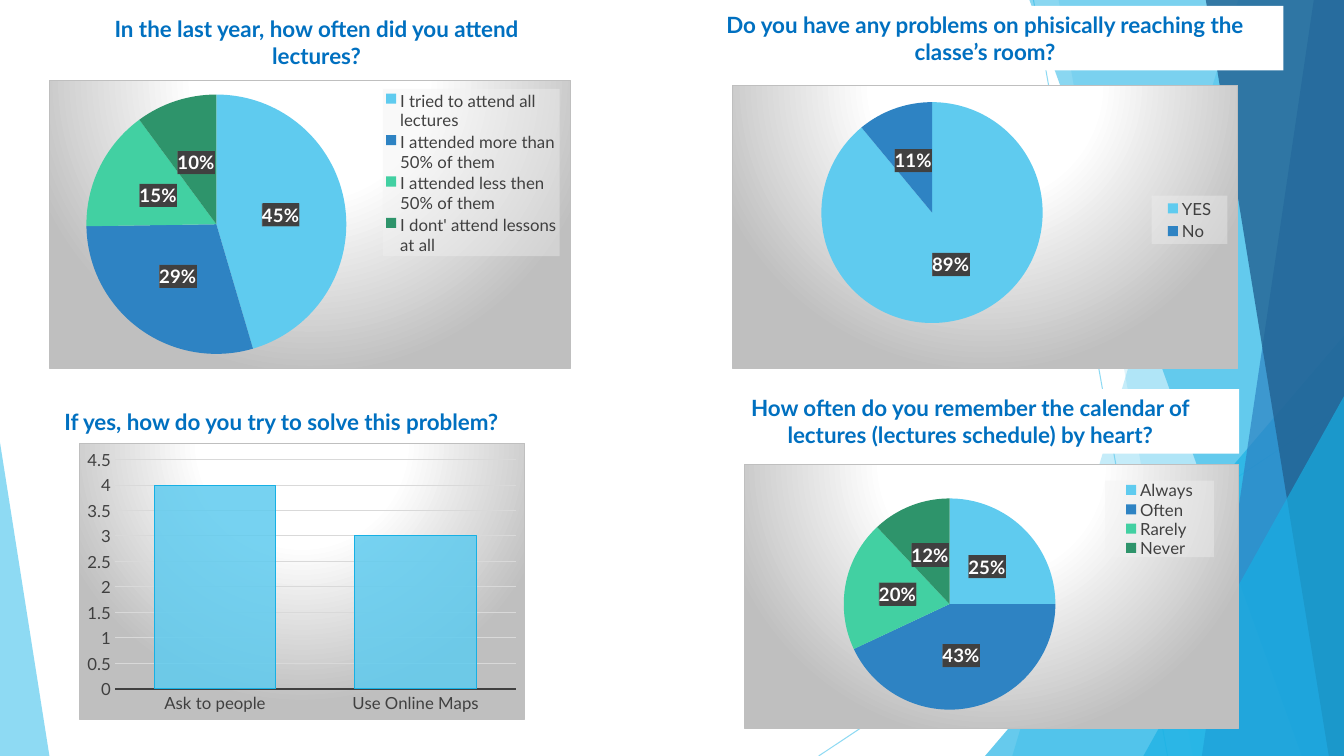
from lxml import etree
from pptx import Presentation
from pptx.chart.data import CategoryChartData
from pptx.dml.color import RGBColor
from pptx.enum.chart import XL_CHART_TYPE as ChartType
from pptx.enum.chart import XL_LABEL_POSITION as LabelPosition
from pptx.enum.chart import XL_LEGEND_POSITION as LegendPosition
from pptx.enum.chart import XL_TICK_MARK as TickMark
from pptx.enum.shapes import MSO_CONNECTOR as Connector
from pptx.enum.shapes import MSO_SHAPE as Shape
from pptx.enum.text import MSO_AUTO_SIZE as AutoSize
from pptx.enum.text import PP_ALIGN as Align
from pptx.oxml import parse_xml
from pptx.oxml.ns import nsdecls, qn
from pptx.util import Inches, Pt

WIDTH, HEIGHT = 13.33, 7.5
FONT = "Lato"
SKY, BLUE, MINT, GREEN = PIE_COLORS = ["5FCBEF", "2E83C3", "42D0A2", "2E946B"]
CYAN, NAVY, TITLE_BLUE = "17B0E4", "226292", "0070C0"
WHITE, DARK, SILVER, GRID = "FFFFFF", "404040", "BFBFBF", "D9D9D9"

PANEL_FILL = f"""<a:gradFill><a:gsLst>
<a:gs pos="0"><a:srgbClr val="{WHITE}"/></a:gs>
<a:gs pos="39000"><a:srgbClr val="{WHITE}"/></a:gs>
<a:gs pos="100000"><a:srgbClr val="{SILVER}"/></a:gs></a:gsLst>
<a:path path="circle"><a:fillToRect l="50000" t="-80000" r="50000" b="180000"/></a:path>
</a:gradFill><a:ln w="9525"><a:solidFill><a:srgbClr val="{SILVER}"/></a:solidFill></a:ln>"""
LEGEND_FILL = ('<a:solidFill><a:srgbClr val="F2F2F2"><a:alpha val="39000"/>'
               '</a:srgbClr></a:solidFill>')
LABEL_FILL = (f'<a:pattFill prst="dkVert"><a:fgClr><a:srgbClr val="{DARK}"/></a:fgClr>'
              '<a:bgClr><a:srgbClr val="5A5A5A"/></a:bgClr></a:pattFill>')


def color(hex_string):
    return RGBColor.from_string(hex_string)


def set_font(font, size, hex_string, bold=False):
    font.name, font.size, font.bold = FONT, Pt(size), bold
    font.color.rgb = color(hex_string)


def set_opacity(element, percent):
    rgb = next(element.iter(qn("a:srgbClr")))
    etree.SubElement(rgb, qn("a:alpha")).set("val", str(percent * 1000))


def set_line(line, hex_string, width):
    line.color.rgb = color(hex_string)
    line.width = Pt(width)


# Background decoration

def paint(shape, fill, opacity):
    shape.shadow.inherit = False
    shape.fill.solid()
    shape.fill.fore_color.rgb = color(fill)
    set_opacity(shape._element.spPr, opacity)
    shape.line.fill.background()


def add_ray(slide, x1, y1, x2, y2):
    ray = slide.shapes.add_connector(
        Connector.STRAIGHT, Inches(x1), Inches(y1), Inches(x2), Inches(y2))
    set_line(ray.line, SKY, 0.75)
    properties = ray._element.spPr
    set_opacity(properties, 70)
    etree.SubElement(properties, qn("a:effectLst"))


def add_band(slide, top_x, bottom_x, fill, opacity):
    """Band from a slanted left edge to the right side of the slide."""
    builder = slide.shapes.build_freeform(Inches(top_x), 0)
    corners = [(WIDTH, 0), (WIDTH, HEIGHT), (bottom_x, HEIGHT)]
    builder.add_line_segments([(Inches(x), Inches(y)) for x, y in corners])
    paint(builder.convert_to_shape(), fill, opacity)


def add_triangle(slide, left, top, width, apex, fill, opacity):
    triangle = slide.shapes.add_shape(
        Shape.ISOSCELES_TRIANGLE, Inches(left), Inches(top), Inches(width), Inches(HEIGHT - top))
    triangle.adjustments[0] = apex
    paint(triangle, fill, opacity)


def add_background(slide):
    add_ray(slide, 10.25, 0, 11.58, HEIGHT)
    add_ray(slide, WIDTH, 4.03, 8.12, HEIGHT)
    add_band(slide, 12.28, 10.04, SKY, 36)
    add_band(slide, 10.5, 11.83, SKY, 20)
    add_triangle(slide, 9.77, 3.33, 3.56, 1, CYAN, 66)
    add_band(slide, 10.21, 12.91, CYAN, 50)
    add_band(slide, 13.03, 11.92, BLUE, 70)
    add_band(slide, 11.96, 13.18, NAVY, 80)
    add_triangle(slide, 11.34, 3.93, 1.99, 1, CYAN, 66)
    add_triangle(slide, 0, 4.39, 0.49, 0, SKY, 70)


# Questions

def add_question(slide, text, left, top, width, height, filled=False, wrap=True):
    box = slide.shapes.add_textbox(Inches(left), Inches(top), Inches(width), Inches(height))
    if filled:
        box.fill.solid()
        box.fill.fore_color.rgb = color(WHITE)
    frame = box.text_frame
    frame.word_wrap = wrap
    frame.auto_size = AutoSize.SHAPE_TO_FIT_TEXT
    paragraph = frame.paragraphs[0]
    paragraph.text = text
    paragraph.alignment = Align.CENTER if wrap else Align.LEFT
    set_font(paragraph.font, 16, TITLE_BLUE, bold=True)


# Charts

def chart_properties(content):
    return parse_xml(f'<c:spPr {nsdecls("c", "a")}>{content}</c:spPr>')


def set_layout(parent, index, bounds, inner=False):
    for old in parent.findall(qn("c:layout")):
        parent.remove(old)
    target = '<c:layoutTarget val="inner"/>' if inner else ""
    modes = '<c:xMode val="edge"/><c:yMode val="edge"/>'
    sizes = "".join(f'<c:{key} val="{value}"/>' for key, value in zip("xywh", bounds))
    parent.insert(index, parse_xml(
        f'<c:layout {nsdecls("c")}><c:manualLayout>{target}{modes}{sizes}'
        '</c:manualLayout></c:layout>'))


def add_chart(slide, kind, values, box, plot_bounds):
    data = CategoryChartData()
    data.categories = list(values)
    data.add_series("Series 1", list(values.values()))
    chart = slide.shapes.add_chart(kind, *map(Inches, box), data).chart
    chart.has_title = False
    chart.has_legend = False
    set_font(chart.font, 10, "000000")
    space = chart._chartSpace
    space.chart.addnext(chart_properties(PANEL_FILL))
    set_layout(space.chart.plotArea, 0, plot_bounds, inner=True)
    return chart


def add_pie(slide, values, box, plot_bounds, legend_bounds):
    chart = add_chart(slide, ChartType.PIE, values, box, plot_bounds)
    plot = chart.plots[0]
    plot.vary_by_categories = True
    for index in range(len(values)):
        fill = plot.series[0].points[index].format.fill
        fill.solid()
        fill.fore_color.rgb = color(PIE_COLORS[index])

    labels = plot.series[0].data_labels
    labels.show_percentage, labels.show_value = True, False
    labels.number_format, labels.number_format_is_linked = "0%", False
    labels.position = LabelPosition.CENTER
    set_font(labels.font, 13.3, WHITE, bold=True)
    labels._element.find(qn("c:txPr")).addprevious(chart_properties(LABEL_FILL))

    chart.has_legend = True
    legend = chart.legend
    legend.position = LegendPosition.RIGHT
    legend.include_in_layout = False
    set_font(legend.font, 12, DARK)
    set_layout(legend._element, 1, legend_bounds)
    legend._element.find(qn("c:overlay")).addnext(chart_properties(LEGEND_FILL))


def add_columns(slide, values, box, plot_bounds):
    chart = add_chart(slide, ChartType.COLUMN_CLUSTERED, values, box, plot_bounds)
    plot = chart.plots[0]
    plot.vary_by_categories = False
    plot.gap_width = 65
    bars = plot.series[0].format
    bars.fill.solid()
    bars.fill.fore_color.rgb = color(SKY)
    set_opacity(plot.series[0]._element, 85)
    set_line(bars.line, CYAN, 0.75)
    for axis in (chart.category_axis, chart.value_axis):
        axis.major_tick_mark = axis.minor_tick_mark = TickMark.NONE
        set_font(axis.tick_labels.font, 12, DARK)
    set_line(chart.category_axis.format.line, DARK, 1.5)
    scale = chart.value_axis
    scale.minimum_scale, scale.maximum_scale, scale.major_unit = 0, 4.5, 0.5
    scale.format.line.fill.background()
    set_line(scale.major_gridlines.format.line, GRID, 0.75)


def main():
    presentation = Presentation()
    presentation.slide_width, presentation.slide_height = Inches(WIDTH), Inches(HEIGHT)
    slide = presentation.slides.add_slide(presentation.slide_layouts[6])
    add_background(slide)

    # Attendance
    add_question(slide, "In the last year, how often did you attend lectures?",
                 0.97, 0.1, 4.34, 0.64)
    add_pie(slide, {"I tried to attend all lectures": 45, "I attended more than 50% of them": 29,
                    "I attended less then 50% of them": 15,
                    "I dont' attend lessons at all": 10},
            (0.49, 0.79, 5.17, 2.87), (0.07, 0.05, 0.5, 0.9), (0.64, 0.03, 0.34, 0.58))

    # Reaching the room
    add_question(slide, "Do you have any problems on phisically reaching the classe’s room?",
                 6.81, 0.06, 5.92, 0.64, filled=True)
    add_pie(slide, {"YES": 89, "No": 11},
            (7.26, 0.84, 5.02, 2.82), (0.05, 0.06, 0.69, 0.78), (0.83, 0.39, 0.15, 0.17))

    # Solutions
    add_question(slide, "If yes, how do you try to solve this problem?",
                 0.54, 4, 5.07, 0.37, wrap=False)
    add_columns(slide, {"Ask to people": 4, "Use Online Maps": 3},
                (0.78, 4.39, 4.43, 2.75), (0.08, 0.06, 0.9, 0.83))

    # Remembering the calendar
    add_pie(slide, {"Always": 25, "Often": 43, "Rarely": 20, "Never": 12},
            (7.38, 4.6, 4.91, 2.63), (0.06, 0.13, 0.71, 0.8), (0.73, 0.06, 0.22, 0.29))
    add_question(slide, "How often do you remember the calendar of lectures "
                 "(lectures schedule) by heart?", 6.96, 3.86, 5.33, 0.64, filled=True)
    presentation.save("out.pptx")


if __name__ == "__main__":
    main()
